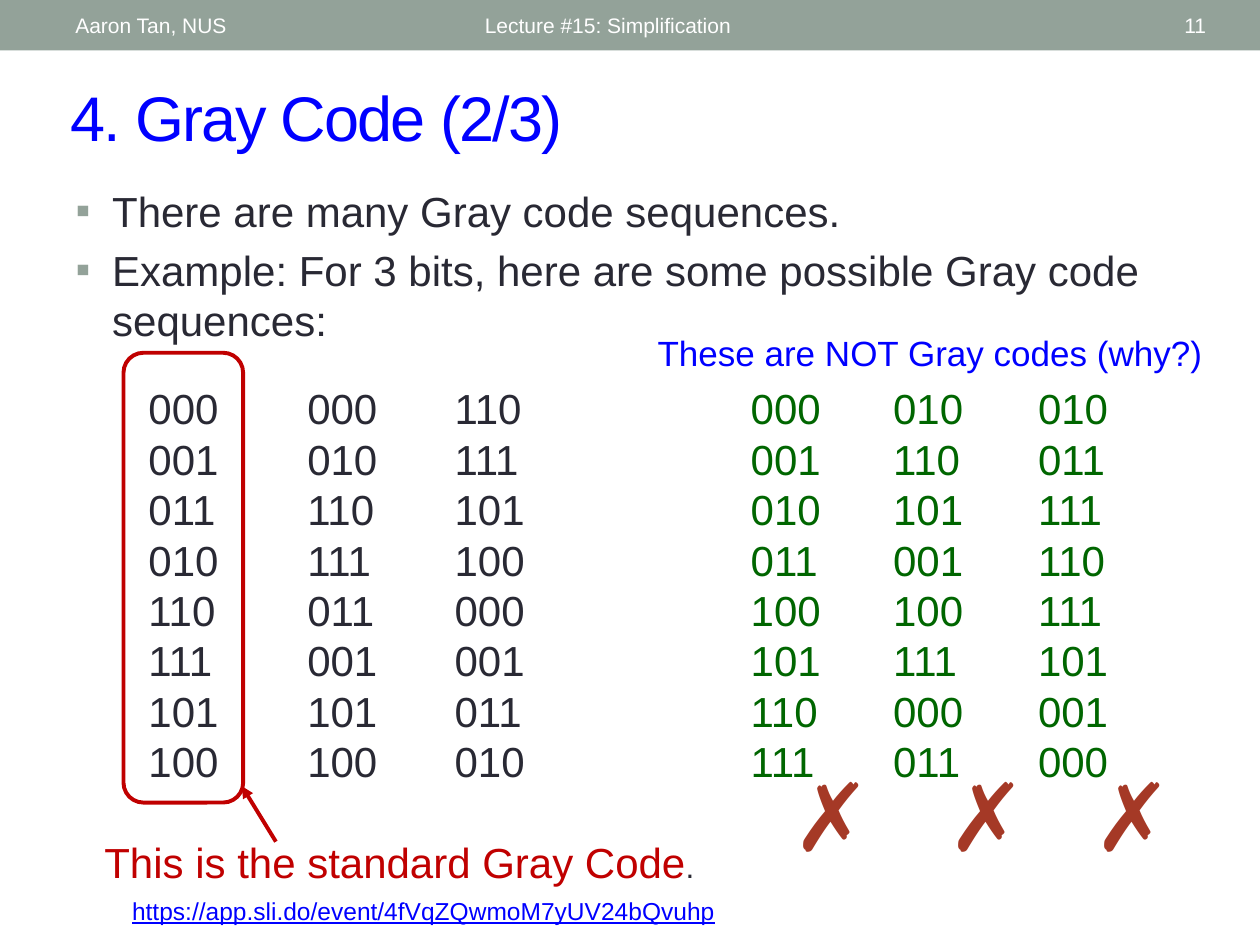
"""Build the "Gray Code (2/3)" lecture slide on a grid of 100 columns by 75 rows."""
import pptx
import pptx.dml.color
import pptx.enum.shapes
import pptx.enum.text
import pptx.oxml
import pptx.oxml.ns
import pptx.util
from lxml import etree

prs = pptx.Presentation()
prs.slide_width, prs.slide_height = pptx.util.Inches(10), pptx.util.Inches(7.5)
COL, ROW = prs.slide_width // 100, prs.slide_height // 75
ALIGN, ANCHOR = pptx.enum.text.PP_ALIGN, pptx.enum.text.MSO_ANCHOR
SHAPES = pptx.enum.shapes.MSO_SHAPE
BLUE, RED, GREEN, INK = "0000FF", "C00000", "006600", "292934"
SAGE, RUST, WHITE = "93A299", "A53926", "FFFFFF"
rgb = pptx.dml.color.RGBColor.from_string


def add_run(p, text, size, color):
    r = p.add_run()
    r.text = text
    r.font.size, r.font.name = pptx.util.Pt(size), "Arial"
    r.font.color.rgb = rgb(color)
    return r


def write(s, box, lines, size, color, align=ALIGN.LEFT, anchor=ANCHOR.TOP):
    s.left, s.top, s.width, s.height = (
        int(n * unit) for n, unit in zip(box, (COL, ROW, COL, ROW)))
    tf = s.text_frame
    tf.word_wrap, tf.vertical_anchor = True, anchor
    for i, line in enumerate(lines):
        p = tf.add_paragraph() if i else tf.paragraphs[0]
        p.alignment = align
        add_run(p, line, size, color)
    return tf.paragraphs


slide = prs.slides.add_slide(prs.slide_layouts[1])
sp = slide.shapes
title, body = slide.placeholders

s = sp.add_shape(SHAPES.RECTANGLE, 0, 0, 100 * COL, 4 * ROW)
s.shadow.inherit = False
s.fill.solid()
s.fill.fore_color.rgb = rgb(SAGE)
s.line.fill.background()

for x, w, text, align in [
    (5, 31.7, "Aaron Tan, NUS", ALIGN.LEFT),
    (37.5, 45, "Lecture #15: Simplification", ALIGN.LEFT),
    (87.2, 9.5, "11", ALIGN.RIGHT),
]:
    write(sp.add_textbox(0, 0, 0, 0), (x, 0.2, w, 3.6), [text], 12, WHITE, align, ANCHOR.MIDDLE)

p = write(title, (4.6, 5.7, 90.7, 7), ["4. Gray Code (2/3)"], 36, BLUE, anchor=ANCHOR.MIDDLE)[0]
p.runs[0].font._element.set("spc", "-100")

bullets = write(body, (5, 14.2, 90, 15.7), [
    "There are many Gray code sequences.",
    "Example: For 3 bits, here are some possible Gray code sequences:",
], 24, INK)
for p, before in zip(bullets, (0, 4.8)):
    p.space_before = pptx.util.Pt(before)
    pPr = p._p.get_or_add_pPr()
    indent = int(2.9 * COL)
    pPr.set("marL", str(indent))
    pPr.set("indent", str(-indent))
    clr = etree.SubElement(pPr, pptx.oxml.ns.qn("a:buClr"))
    etree.SubElement(clr, pptx.oxml.ns.qn("a:srgbClr"), val=SAGE)
    etree.SubElement(pPr, pptx.oxml.ns.qn("a:buFont"), typeface="Arial")
    etree.SubElement(pPr, pptx.oxml.ns.qn("a:buChar"), char="▪")

for x, color, codes in [
    (10.8, INK, "000 001 011 010 110 111 101 100"),
    (23.4, INK, "000 010 110 111 011 001 101 100"),
    (35.1, INK, "110 111 101 100 000 001 011 010"),
    (58.6, GREEN, "000 001 010 011 100 101 110 111"),
    (69.9, GREEN, "010 110 101 001 100 111 000 011"),
    (81.4, GREEN, "010 011 111 110 111 101 001 000"),
]:
    write(sp.add_textbox(0, 0, 0, 0), (x, 29.9, 9.5, 33.3), codes.split(), 24, color)

for x in (61.9, 74.2, 85.8):
    write(sp.add_textbox(0, 0, 0, 0), (x, 59.6, 8, 10.1), ["✗"], 54, RUST, ALIGN.CENTER)

p = write(sp.add_textbox(0, 0, 0, 0), (7.3, 65.9, 50.3, 5),
          ["This is the standard Gray Code"], 24, RED)[0]
add_run(p, ".", 18, INK)
write(sp.add_textbox(0, 0, 0, 0), (51.2, 25.8, 45.5, 4.4),
      ["These are NOT Gray codes (why?)"], 20, BLUE)
p = write(sp.add_textbox(0, 0, 0, 0), (9.5, 70.6, 65, 3.4),
          ["https://app.sli.do/event/4fVqZQwmoM7yUV24bQvuhp"], 14, BLUE)[0]
p.runs[0].font.underline = True

frame = sp.add_shape(SHAPES.ROUNDED_RECTANGLE, int(9.8 * COL), 28 * ROW,
                     int(9.5 * COL), int(35.7 * ROW))
frame.shadow.inherit = False
frame.fill.background()
arrow = sp.add_connector(pptx.enum.shapes.MSO_CONNECTOR.STRAIGHT, int(21.9 * COL),
                         int(66.8 * ROW), int(19.2 * COL), int(62.4 * ROW))
for s in (frame, arrow):
    s.line.color.rgb = rgb(RED)
    s.line.width = pptx.util.Pt(2.25)
etree.SubElement(arrow.line._get_or_add_ln(), pptx.oxml.ns.qn("a:tailEnd"), type="triangle")
etree.SubElement(arrow._element.spPr, pptx.oxml.ns.qn("a:effectLst"))

prs.save("out.pptx")
